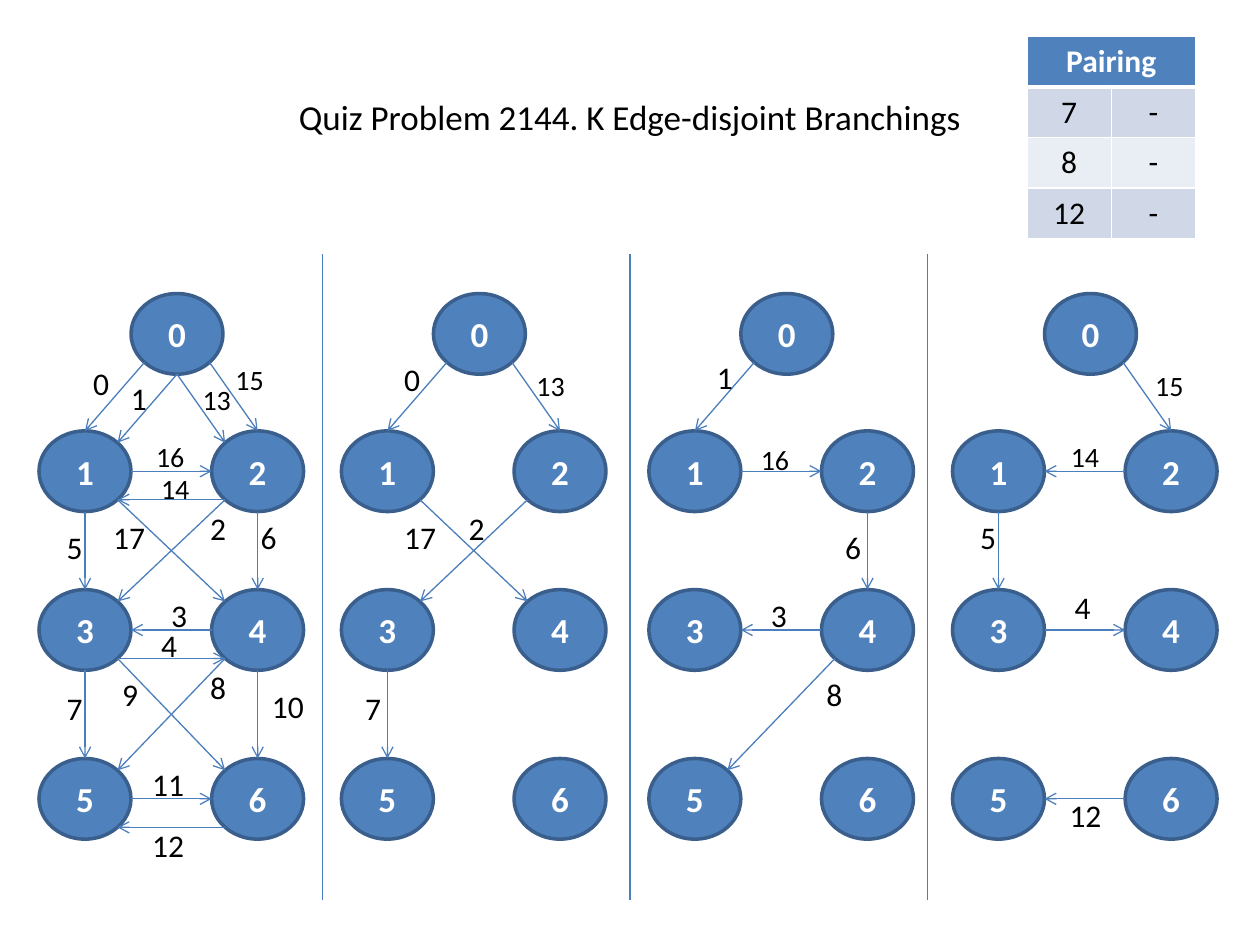
from math import cos, radians, sin

from lxml.etree import SubElement
from pptx import Presentation
from pptx.dml.color import RGBColor
from pptx.enum.shapes import MSO_CONNECTOR, MSO_SHAPE
from pptx.enum.text import MSO_ANCHOR, PP_ALIGN
from pptx.oxml import parse_xml
from pptx.oxml.ns import nsdecls, qn
from pptx.util import Inches, Pt

BLUE = RGBColor(0x4F, 0x81, 0xBD)
OUTLINE = RGBColor(0x3A, 0x5F, 0x8C)
EDGE = RGBColor(0x4B, 0x7E, 0xBC)
BAND_DARK = RGBColor(0xD0, 0xD8, 0xE8)
BAND_LIGHT = RGBColor(0xE9, 0xED, 0xF4)
WHITE = RGBColor(0xFF, 0xFF, 0xFF)
BLACK = RGBColor(0, 0, 0)

NODE_WIDTH, NODE_HEIGHT = 0.73, 0.64
NODES = {0: (0.73, 2.33), 1: (0, 3.42), 2: (1.37, 3.42), 3: (0, 4.68),
         4: (1.37, 4.68), 5: (0, 6.02), 6: (1.37, 6.02)}
ANGLES = {"E": 0, "SE": 45, "S": 90, "SW": 135, "W": 180, "NW": 225, "N": 270, "NE": 315}
DIVIDERS = [2.56, 5, 7.36]

PANELS = {
    0.31: [
        (0, 0, "SW", 1, "N", 0.64, 2.84), (1, 0, "S", 1, "NE", 0.94, 2.96),
        (2, 2, "SW", 3, "NE", 1.57, 3.99), (3, 4, "W", 3, "E", 1.26, 4.68),
        (4, 3, "SE", 4, "SW", 1.18, 4.92), (5, 1, "S", 3, "N", 0.43, 4.14),
        (6, 2, "S", 4, "N", 1.97, 4.06), (7, 3, "S", 5, "N", 0.43, 5.42),
        (8, 4, "SW", 5, "NE", 1.57, 5.25), (9, 3, "SE", 6, "NW", 0.87, 5.31),
        (10, 4, "S", 6, "N", 2.06, 5.4), (11, 5, "E", 6, "W", 1.11, 6.02),
        (12, 6, "SW", 5, "SE", 1.11, 6.51), (13, 0, "S", 2, "NW", 1.51, 2.99),
        (14, 2, "SW", 1, "SE", 1.18, 3.69), (15, 0, "SE", 2, "N", 1.77, 2.83),
        (16, 1, "E", 2, "W", 1.14, 3.44), (17, 1, "SE", 4, "NW", 0.8, 4.06),
    ],
    2.71: [
        (0, 0, "SW", 1, "N", 3.11, 2.81), (13, 0, "SE", 2, "N", 4.16, 2.88),
        (17, 1, "SE", 4, "NW", 3.11, 4.06), (2, 2, "SW", 3, "NE", 3.62, 3.99),
        (7, 3, "S", 5, "N", 2.8, 5.42),
    ],
    5.15: [
        (1, 0, "SW", 1, "N", 5.59, 2.79), (16, 1, "E", 2, "W", 5.94, 3.46),
        (6, 2, "S", 4, "N", 6.61, 4.14), (3, 4, "W", 3, "E", 6.02, 4.68),
        (8, 4, "SW", 5, "NE", 6.46, 5.31),
    ],
    7.56: [
        (15, 0, "SE", 2, "N", 9.07, 2.88), (14, 2, "W", 1, "E", 8.4, 3.44),
        (5, 1, "S", 3, "N", 7.68, 4.06), (4, 3, "E", 4, "W", 8.43, 4.62),
        (12, 6, "W", 5, "E", 8.39, 6.27),
    ],
}

deck = Presentation()
deck.slide_width, deck.slide_height = Inches(10), Inches(7.5)
page = deck.slides.add_slide(deck.slide_layouts[5])


def write(frame, text, size=18, color=BLACK, bold=False, align=PP_ALIGN.CENTER):
    frame.word_wrap = True
    para = frame.paragraphs[0]
    para.alignment = align
    span = para.add_run()
    span.text = text
    span.font.name = "Calibri"
    span.font.size = Pt(size)
    span.font.bold = bold
    span.font.color.rgb = color


def draw_line(start, end, arrow=True):
    line = page.shapes.add_connector(
        MSO_CONNECTOR.STRAIGHT, *[Inches(value) for value in (*start, *end)])
    line.line.color.rgb = EDGE
    line.line.width = Pt(0.75)
    properties = line._element.spPr
    if arrow:
        SubElement(properties.find(qn("a:ln")), qn("a:tailEnd"), type="arrow")
    SubElement(properties, qn("a:effectLst"))


title = page.shapes.title
title.left, title.top = Inches(0.5), Inches(0.3)
title.width, title.height = Inches(9), Inches(1.25)
title.text_frame.vertical_anchor = MSO_ANCHOR.MIDDLE
write(title.text_frame, "Quiz Problem 2144. K Edge-disjoint Branchings", size=20)

for x in DIVIDERS:
    draw_line((x, 2.02), (x, 7.14), arrow=False)

for panel_left, edges in PANELS.items():
    for number, (left, top) in NODES.items():
        node = page.shapes.add_shape(
            MSO_SHAPE.OVAL, Inches(panel_left + left), Inches(top),
            Inches(NODE_WIDTH), Inches(NODE_HEIGHT))
        node.shadow.inherit = False
        node.fill.solid()
        node.fill.fore_color.rgb = BLUE
        node.line.color.rgb = OUTLINE
        node.line.width = Pt(2)
        node.text_frame.vertical_anchor = MSO_ANCHOR.MIDDLE
        write(node.text_frame, str(number), size=20, color=WHITE, bold=True)

    for label, source, source_side, target, target_side, label_left, label_top in edges:
        ends = []
        for number, side in ((source, source_side), (target, target_side)):
            left, top = NODES[number]
            angle = radians(ANGLES[side])
            ends.append((panel_left + left + NODE_WIDTH / 2 * (1 + cos(angle)),
                         top + NODE_HEIGHT / 2 * (1 + sin(angle))))
        draw_line(*ends)

        small = 13 <= label <= 16
        box = page.shapes.add_textbox(
            Inches(label_left), Inches(label_top),
            Inches(0.35 if label < 10 else 0.5), Inches(0.37 if small else 0.4))
        write(box.text_frame, str(label), size=16 if small else 18, align=PP_ALIGN.LEFT)

rows = [("Pairing", ""), ("7", "-"), ("8", "-"), ("12", "-")]
table = page.shapes.add_table(
    4, 2, Inches(8.15), Inches(0.29), Inches(1.34), Inches(1.6)).table
table.cell(0, 0).merge(table.cell(0, 1))
for row_index, row in enumerate(rows):
    header = row_index == 0
    for column_index, text in enumerate(row):
        cell = table.cell(row_index, column_index)
        cell.fill.solid()
        cell.fill.fore_color.rgb = BLUE if header else BAND_DARK if row_index % 2 else BAND_LIGHT
        if text:
            write(cell.text_frame, text, color=WHITE if header else BLACK, bold=header)
        thick = {"lnB": row_index == 0, "lnT": row_index == 1}
        for position, side in enumerate(("lnL", "lnR", "lnT", "lnB")):
            width = Pt(3 if thick.get(side) else 1)
            border = parse_xml(
                f'<a:{side} {nsdecls("a")} w="{width}"><a:solidFill>'
                f'<a:srgbClr val="{WHITE}"/></a:solidFill></a:{side}>')
            cell._tc.get_or_add_tcPr().insert(position, border)

deck.save("out.pptx")
